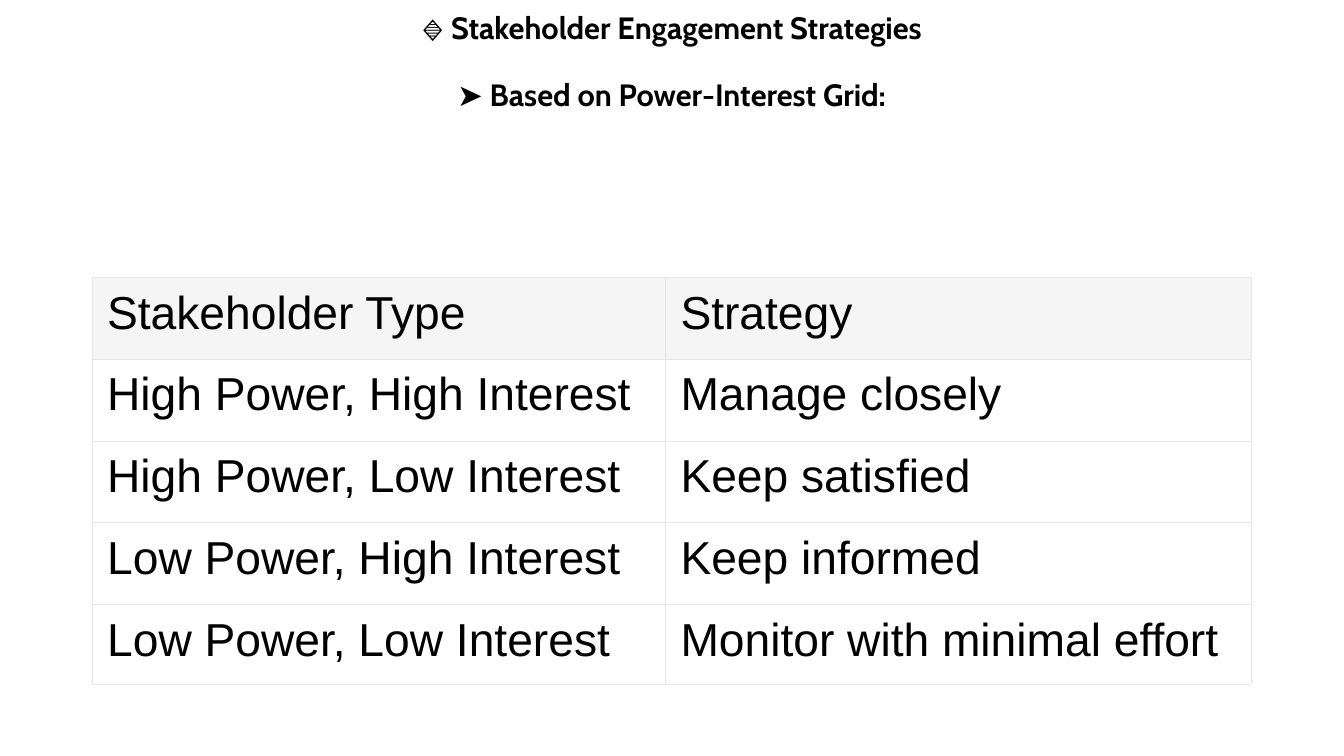
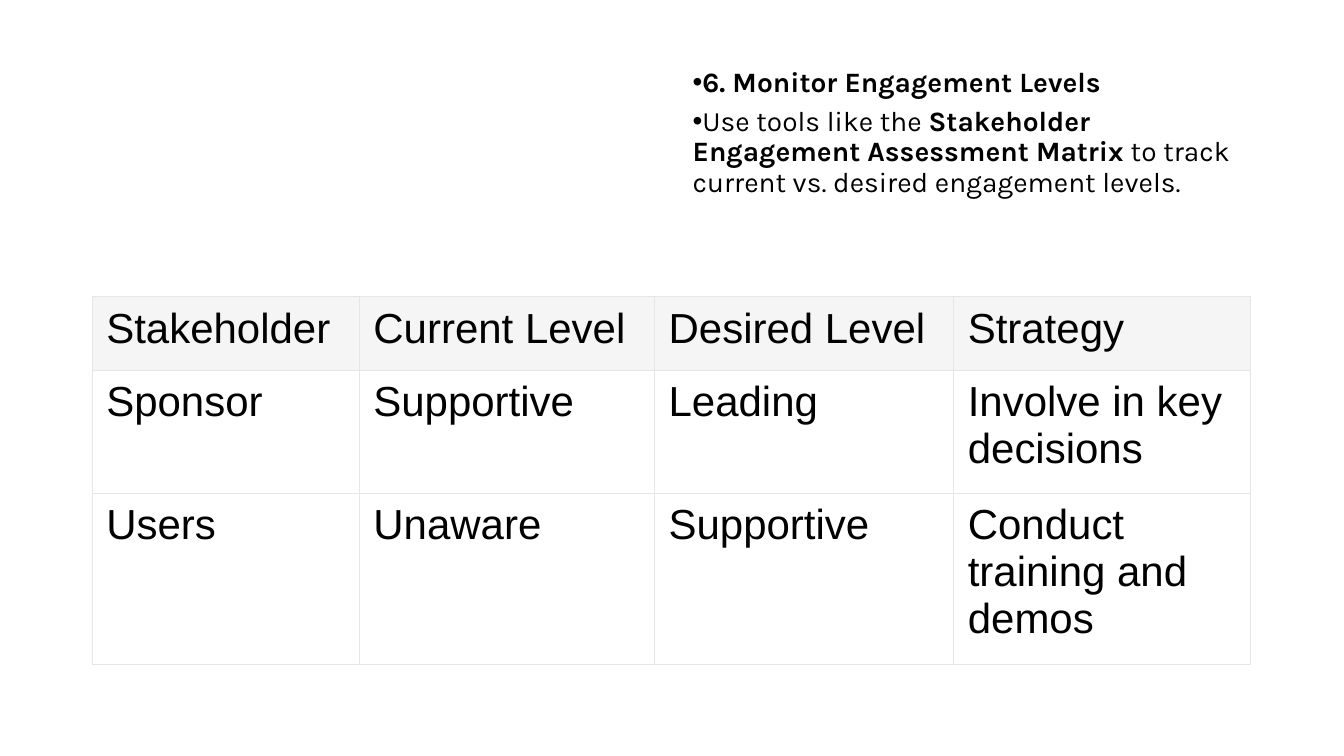
from lxml import etree
from pptx import Presentation
from pptx.dml.color import RGBColor
from pptx.enum import text as txt
from pptx.oxml import ns
from pptx.util import Cm, Pt

# Shared look
BLACK = RGBColor(0x00, 0x00, 0x00)
HEADER_GREY = RGBColor(0xF5, 0xF5, 0xF5)
BORDER_GREY = RGBColor(0xE6, 0xE6, 0xE6)
TITLE_FONT, LIST_FONT, TABLE_FONT = "Cabin", "Karla", "Arial"
SLIDE_SIZE = (Cm(33.87), Cm(19.05))
TABLE_LEFT = 2.32

# Content: a paragraph is a list of (words, bold) pieces; lengths are in cm
HEADING = [
    [("🔹 Stakeholder Engagement Strategies", True)],
    [("➤ Based on Power-Interest Grid:", True)],
]
MONITORING = [
    [("6. Monitor Engagement Levels", True)],
    [("Use tools like the ", False),
     ("Stakeholder Engagement Assessment Matrix", True),
     (" to track current vs. desired engagement levels.", False)],
]
STRATEGY_GRID = dict(
    top=6.99, size=33, margins=(0.38, 0.25, 0.25, 0.23),
    widths=(14.45, 14.76), heights=(2.06, 2.06, 2.06, 2.06, 2.01),
    rows=[
        ("Stakeholder Type", "Strategy"),
        ("High Power, High Interest", "Manage closely"),
        ("High Power, Low Interest", "Keep satisfied"),
        ("Low Power, High Interest", "Keep informed"),
        ("Low Power, Low Interest", "Monitor with minimal effort"),
    ])
ENGAGEMENT_MATRIX = dict(
    top=7.47, size=30, margins=(0.36, 0.23, 0.23, 0.2),
    widths=(6.73, 7.44, 7.54, 7.49), heights=(1.85, 3.1, 4.32),
    rows=[
        ("Stakeholder", "Current Level", "Desired Level", "Strategy"),
        ("Sponsor", "Supportive", "Leading", "Involve in key decisions"),
        ("Users", "Unaware", "Supportive", "Conduct training and demos"),
    ])


def write(frame, paragraphs, *, font, size, align=txt.PP_ALIGN.LEFT,
          line_spacing=1.0, gap=0, bullet=None):
    """Fill a text frame; gap is the space in points between paragraphs."""
    frame.word_wrap = True
    for i, pieces in enumerate(paragraphs):
        paragraph = frame.add_paragraph() if i else frame.paragraphs[0]
        if bullet:
            props = paragraph._p.get_or_add_pPr()
            props.set("marL", "0")
            props.set("indent", str(-Cm(0.64)))
            etree.SubElement(props, ns.qn("a:buChar")).set("char", bullet)
        paragraph.alignment = align
        paragraph.line_spacing = line_spacing
        paragraph.space_before = Pt(gap if i else 0)
        paragraph.space_after = Pt(0)
        for words, bold in pieces:
            run = paragraph.add_run()
            run.text = words
            run.font.name, run.font.size = font, Pt(size)
            run.font.bold = bold
            run.font.color.rgb = BLACK


def place(holder, left, top, width, height, bottom_margin):
    """Move a placeholder; the bottom margin lifts its centred text."""
    holder.left, holder.top = Cm(left), Cm(top)
    holder.width, holder.height = Cm(width), Cm(height)
    frame = holder.text_frame
    frame.auto_size = txt.MSO_AUTO_SIZE.NONE
    frame.vertical_anchor = txt.MSO_ANCHOR.MIDDLE
    frame.margin_bottom = Cm(bottom_margin)
    return frame


def outline(cell):
    props = cell._tc.get_or_add_tcPr()
    for position, side in enumerate(("lnL", "lnR", "lnT", "lnB")):
        line = etree.Element(ns.qn("a:" + side), w=str(Pt(0.5)))
        fill = etree.SubElement(line, ns.qn("a:solidFill"))
        etree.SubElement(fill, ns.qn("a:srgbClr")).set("val", str(BORDER_GREY))
        props.insert(position, line)


def add_grid(slide, top, size, margins, widths, heights, rows):
    grid = slide.shapes.add_table(
        len(rows), len(widths), Cm(TABLE_LEFT), Cm(top),
        Cm(sum(widths)), Cm(sum(heights))).table
    grid.first_row = grid.horz_banding = False
    for column, width in zip(grid.columns, widths):
        column.width = Cm(width)
    for r, (height, labels) in enumerate(zip(heights, rows)):
        grid.rows[r].height = Cm(height)
        for c, label in enumerate(labels):
            cell = grid.cell(r, c)
            (cell.margin_left, cell.margin_top,
             cell.margin_right, cell.margin_bottom) = map(Cm, margins)
            if r == 0:
                cell.fill.solid()
                cell.fill.fore_color.rgb = HEADER_GREY
            else:
                cell.fill.background()
            outline(cell)
            write(cell.text_frame, [[(label, False)]],
                  font=TABLE_FONT, size=size)


def main():
    deck = Presentation()
    deck.slide_width, deck.slide_height = SLIDE_SIZE
    list_layout, title_layout = deck.slide_layouts[1], deck.slide_layouts[5]

    # Strategies by power and interest
    strategies = deck.slides.add_slide(title_layout)
    heading = place(strategies.shapes.title, 2.79, 0.48, 28.27, 3.1, 0.99)
    write(heading, HEADING, font=TITLE_FONT, size=22,
          align=txt.PP_ALIGN.CENTER, line_spacing=0.9, gap=24)
    add_grid(strategies, **STRATEGY_GRID)

    # Engagement levels, a slide without a title
    levels = deck.slides.add_slide(list_layout)
    unused_title = levels.shapes.title._element
    unused_title.getparent().remove(unused_title)
    monitoring = place(levels.placeholders[1], 17.2, 1.52, 14.33, 4.65, 1.09)
    write(monitoring, MONITORING, font=LIST_FONT, size=20,
          line_spacing=0.9, gap=6, bullet="•")
    add_grid(levels, **ENGAGEMENT_MATRIX)

    deck.save("out.pptx")


if __name__ == "__main__":
    main()
